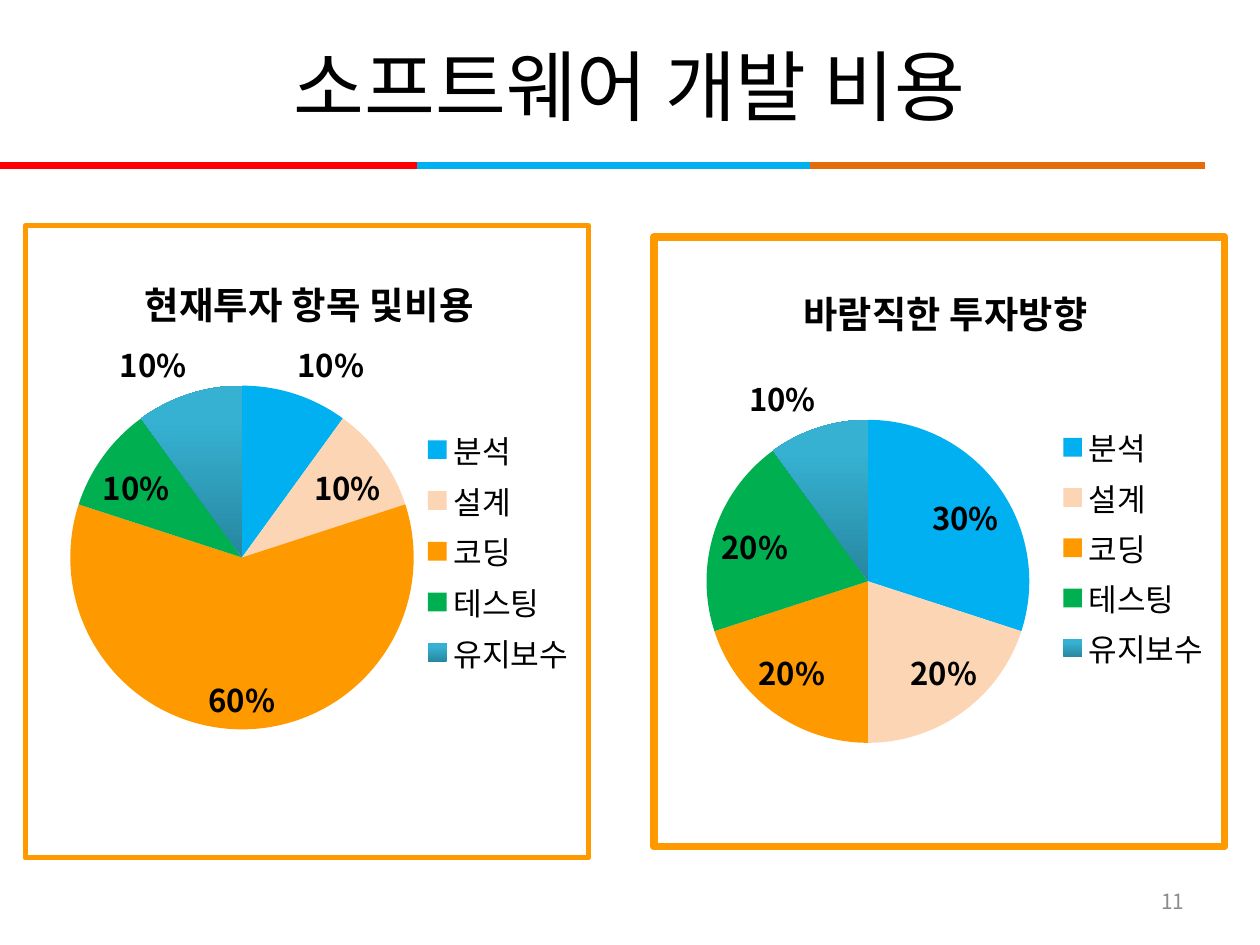
from lxml.etree import SubElement
from pptx import Presentation
from pptx.chart.data import CategoryChartData
from pptx.dml.color import RGBColor
from pptx.enum.chart import XL_CHART_TYPE as ChartType
from pptx.enum.chart import XL_LABEL_POSITION as LabelPosition
from pptx.enum.chart import XL_LEGEND_POSITION as LegendPosition
from pptx.enum.shapes import MSO_CONNECTOR as Connector
from pptx.enum.text import MSO_ANCHOR as Anchor
from pptx.enum.text import PP_ALIGN as Align
from pptx.oxml import parse_xml
from pptx.oxml.ns import nsdecls, qn
from pptx.util import Inches, Pt

# Content
TITLE = "소프트웨어 개발 비용"
PAGE_NUMBER = "11"
CATEGORIES = ["분석", "설계", "코딩", "테스팅", "유지보수"]
# box in inches; title (x, y), plot and legend (x, y, w, h) as shares of the chart
CHARTS = [
    {"title": "현재투자 항목 및비용", "values": [10, 10, 60, 10, 10],
     "box": (0.18, 1.77, 4.51, 5.06), "border": 3, "title_at": (0.2, 0.06),
     "plot": (0.08, 0.25, 0.61, 0.55), "legend": (0.71, 0.31, 0.26, 0.41)},
    {"title": "바람직한 투자방향", "values": [30, 20, 20, 20, 10],
     "box": (5.16, 1.85, 4.59, 4.9), "border": 4.5, "title_at": (0.25, 0.06),
     "plot": (0.08, 0.3, 0.59, 0.53), "legend": (0.71, 0.3, 0.26, 0.42)},
]
RULE_Y = 1.31
RULE_STOPS = [0, 3.31, 6.43, 9.56]

THEME = {
    "font": "Noto Sans CJK KR",
    "text": "000000",
    "muted": "8C8C8C",
    "border": "FF9900",
    "rules": ["FF0000", "00B0F0", "E46C0A"],
    "slices": ["00B0F0", "FCD5B5", "FF9900", "00B050"],
    "gradient": ["2787A0", "36B1D2"],
    "title_size": 44,
    "chart_title_size": 21.6,
    "chart_size": 18,
    "page_size": 12,
}


def rgb(value):
    return RGBColor.from_string(value)


def set_font(font, size, color=THEME["text"], bold=False):
    font.name = THEME["font"]
    font.size = Pt(size)
    font.bold = bold
    font.color.rgb = rgb(color)
    # Hangul takes the East Asian typeface
    latin = font._element.find(qn("a:latin")) if hasattr(font, "_element") else font._rPr.find(qn("a:latin"))
    latin.addnext(parse_xml(f'<a:ea {nsdecls("a")} typeface="{THEME["font"]}"/>'))


def add_text(slide, box, text, size, color, align):
    shape = slide.shapes.add_textbox(*map(Inches, box))
    frame = shape.text_frame
    frame.word_wrap = True
    frame.vertical_anchor = Anchor.MIDDLE
    paragraph = frame.paragraphs[0]
    paragraph.alignment = align
    run = paragraph.add_run()
    run.text = text
    set_font(run.font, size, color)


def add_rule(slide, start, end, color):
    line = slide.shapes.add_connector(
        Connector.STRAIGHT, Inches(start), Inches(RULE_Y), Inches(end), Inches(RULE_Y))
    line.line.color.rgb = rgb(color)
    line.line.width = Pt(4)
    SubElement(line._element.spPr, qn("a:effectLst"))


def set_layout(parent, index, shares, inner=False):
    for old in parent.findall(qn("c:layout")):
        parent.remove(old)
    target = '<c:layoutTarget val="inner"/>' if inner else ""
    modes = "".join(f'<c:{axis}Mode val="edge"/>' for axis in "xy")
    places = "".join(f'<c:{name} val="{share}"/>' for name, share in zip("xywh", shares))
    parent.insert(index, parse_xml(
        f'<c:layout {nsdecls("c")}><c:manualLayout>{target}{modes}{places}'
        "</c:manualLayout></c:layout>"))


def set_border(chart_space, width):
    chart = chart_space.find(qn("c:chart"))
    for old in chart_space.findall(qn("c:roundedCorners")):
        chart_space.remove(old)
    chart.addprevious(parse_xml(f'<c:roundedCorners {nsdecls("c")} val="0"/>'))
    chart.addnext(parse_xml(
        f'<c:spPr {nsdecls("c", "a")}><a:noFill/><a:ln w="{Pt(width)}"><a:solidFill>'
        f'<a:srgbClr val="{THEME["border"]}"/></a:solidFill></a:ln></c:spPr>'))


def color_slices(series):
    for index, color in enumerate(THEME["slices"]):
        fill = series.points[index].format.fill
        fill.solid()
        fill.fore_color.rgb = rgb(color)
    # The last slice shades from dark at the bottom to light
    fill = series.points[len(THEME["slices"])].format.fill
    fill.gradient()
    fill.gradient_angle = 90
    for stop, color, position in zip(fill.gradient_stops, THEME["gradient"], (0, 0.8)):
        stop.color.rgb = rgb(color)
        stop.position = position


def add_pie(slide, item):
    data = CategoryChartData()
    data.categories = CATEGORIES
    data.add_series(item["title"], item["values"])
    chart = slide.shapes.add_chart(ChartType.PIE, *map(Inches, item["box"]), data).chart
    set_font(chart.font, THEME["chart_size"])

    # Title and legend
    chart.has_title = True
    run = chart.chart_title.text_frame.paragraphs[0].add_run()
    run.text = item["title"]
    set_font(run.font, THEME["chart_title_size"], bold=True)
    chart.has_legend = True
    chart.legend.position = LegendPosition.RIGHT
    chart.legend.include_in_layout = False

    # Slices and percentages
    plot = chart.plots[0]
    plot.vary_by_categories = True
    color_slices(plot.series[0])
    plot.has_data_labels = True
    labels = plot.data_labels
    labels.show_value = False
    labels.show_percentage = True
    labels.number_format = "0%"
    labels.number_format_is_linked = False
    labels.position = LabelPosition.BEST_FIT
    set_font(labels.font, THEME["chart_size"], bold=True)

    # Places inside the frame
    chart_space = chart._chartSpace
    set_layout(chart_space.xpath("c:chart/c:title")[0], 1, item["title_at"])
    set_layout(chart_space.xpath("c:chart/c:plotArea")[0], 0, item["plot"], inner=True)
    set_layout(chart_space.xpath("c:chart/c:legend")[0], 1, item["legend"])
    set_border(chart_space, item["border"])


def main():
    presentation = Presentation()
    presentation.slide_width, presentation.slide_height = Inches(10), Inches(7.5)
    slide = presentation.slides.add_slide(presentation.slide_layouts[6])

    for start, end, color in zip(RULE_STOPS, RULE_STOPS[1:], THEME["rules"]):
        add_rule(slide, start, end, color)
    add_text(slide, (0.5, 0.05, 9, 1.25), TITLE, THEME["title_size"], THEME["text"], Align.CENTER)
    for item in CHARTS:
        add_pie(slide, item)
    add_text(slide, (7.17, 6.95, 2.33, 0.4), PAGE_NUMBER, THEME["page_size"], THEME["muted"], Align.RIGHT)

    presentation.save("out.pptx")


if __name__ == "__main__":
    main()
